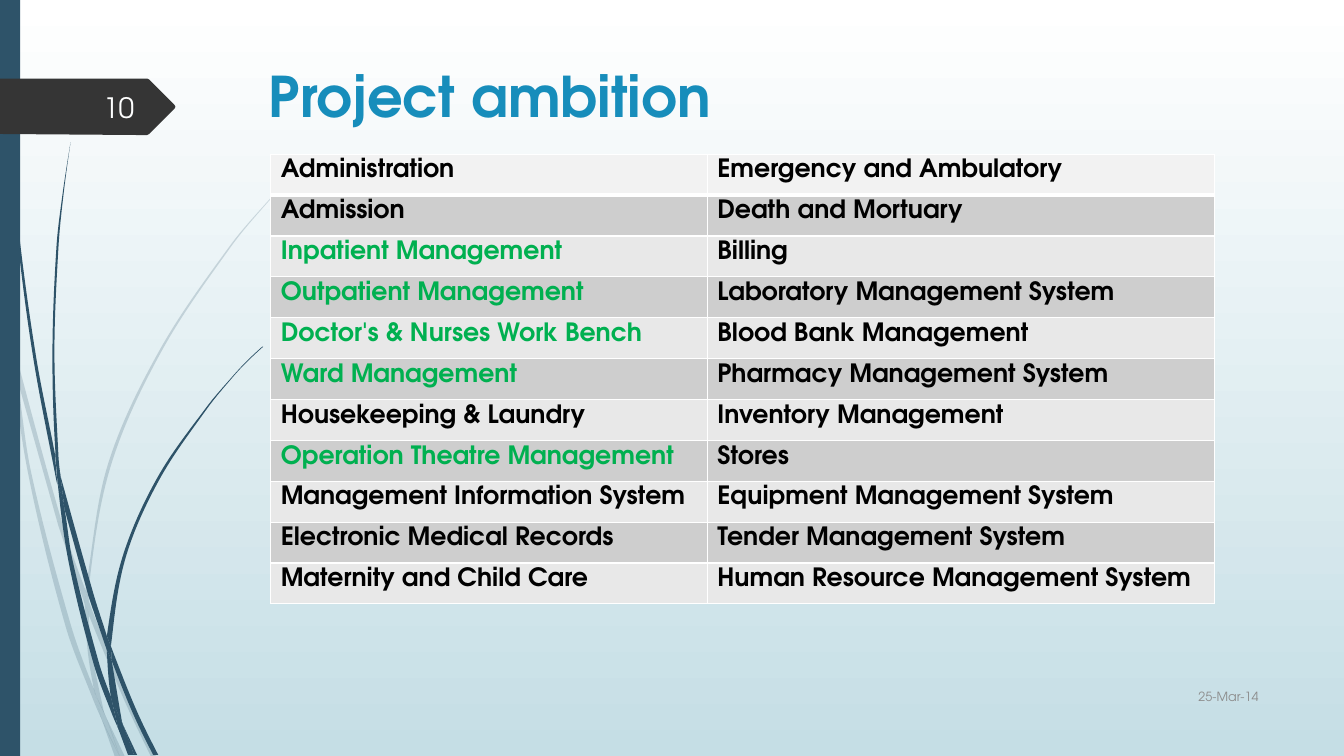
from dataclasses import dataclass
from math import dist

from lxml.etree import SubElement
from pptx import Presentation
from pptx.dml.color import RGBColor
from pptx.enum.shapes import MSO_SHAPE as Preset
from pptx.enum.text import MSO_ANCHOR as Anchor, MSO_AUTO_SIZE as AutoSize, PP_ALIGN as Align
from pptx.oxml.ns import qn
from pptx.util import Emu, Inches, Pt

FONT = "TeX Gyre Adventor"
NAVY, BLACK, GREEN, WHITE = "2E5369", "000000", "00B050", "FFFFFF"
GRID = Inches(0.1)  # one column or row of the layout grid
FINE = Inches(0.01)  # unit of the outlines

Point = tuple[float, float]


@dataclass
class Area:
    column: float
    row: float
    columns: float
    rows: float

    def emu(self) -> list[Emu]:
        return [Emu(round(n * GRID)) for n in (self.column, self.row, self.columns, self.rows)]


@dataclass
class Label:
    text: str
    area: Area
    size: float
    color: str


@dataclass
class Plant:
    color: str
    opacity: int
    stems: list[str]  # edges parted by "/", each a smooth run of x,y points


def rgb(code: str) -> RGBColor:
    return RGBColor.from_string(code)


def write(frame, text: str, size: float, color: str, bold: bool = False, align=Align.LEFT) -> None:
    para = frame.paragraphs[0]
    para.alignment = align
    span = para.add_run()
    span.text = text
    for name, value in {"name": FONT, "size": Pt(size), "bold": bold}.items():
        setattr(span.font, name, value)
    span.font.color.rgb = rgb(color)


def paint(shape, color: str, opacity: int = 100) -> None:
    shape.shadow.inherit = False
    shape.line.fill.background()
    shape.fill.solid()
    shape.fill.fore_color.rgb = rgb(color)
    if opacity < 100:
        tone = shape.fill._xPr.find(".//" + qn("a:srgbClr"))
        SubElement(tone, qn("a:alpha"), val=str(opacity * 1000))


def read_edge(text: str) -> list[Point]:
    return [tuple(float(n) * FINE for n in pair.split(",")) for pair in text.split()]


def handle(before: Point, at: Point, after: Point, reach: float) -> Point:
    """Place a curve handle at a point, along the line between its neighbours."""
    share = reach / 3 / (dist(before, after) or 1)
    return tuple(p + (b - a) * share for a, p, b in zip(before, at, after))


def curve_handles(points: list[Point]) -> list[list[Point]]:
    """Give the two handles of each span of a smooth edge."""
    result = []
    last = len(points) - 2
    for i, (a, b) in enumerate(zip(points, points[1:])):
        reach = dist(a, b)
        first = handle(points[i - 1], a, b, reach) if i > 0 else None
        second = handle(points[i + 2], b, a, reach) if i < last else None
        first = first or tuple((p + q) / 2 for p, q in zip(a, second or b))
        second = second or tuple((p + q) / 2 for p, q in zip(b, first))
        result.append([first, second])
    return result


def draw_outline(page, outline: str, color: str, opacity: int = 100) -> None:
    points, handles = [], []
    for edge in map(read_edge, outline.split("/")):
        if points and points[-1] != edge[0]:
            points.append(edge[0])
            handles.append(None)
        points += edge[1:] if points else edge
        handles += curve_handles(edge) if len(edge) > 2 else [None]
    builder = page.shapes.build_freeform(*map(round, points[0]))
    builder.add_line_segments([tuple(map(round, p)) for p in points[1:]], close=True)
    shape = builder.convert_to_shape()
    left, top = (min(axis) for axis in zip(*points))
    for line, pair in zip(list(shape._element.iter(qn("a:lnTo"))), handles):
        if pair:
            line.tag = qn("a:cubicBezTo")
            for place, (x, y) in enumerate(pair):
                spot = SubElement(line, qn("a:pt"), x=str(round(x - left)), y=str(round(y - top)))
                line.insert(place, spot)
    paint(shape, color, opacity)


def draw_label(page, label: Label) -> None:
    frame = page.shapes.add_textbox(*label.area.emu()).text_frame
    for name, value in {"word_wrap": True, "vertical_anchor": Anchor.MIDDLE}.items():
        setattr(frame, name, value)
    write(frame, label.text, label.size, label.color, align=Align.RIGHT)


def border(cell, widths: dict[str, float]) -> None:
    properties = cell._tc.get_or_add_tcPr()
    for place, (side, width) in enumerate(widths.items()):
        line = SubElement(properties, qn("a:ln" + side), w=str(Pt(width)))
        SubElement(SubElement(line, qn("a:solidFill")), qn("a:srgbClr"), val=WHITE)
        properties.insert(place, line)


def draw_modules(page, area: Area, widths: list[float], rows: list[tuple[str, str]]) -> None:
    table = page.shapes.add_table(len(rows), len(widths), *area.emu()).table
    for name in ("first_row", "horz_banding"):
        setattr(table, name, False)
    for column, width in zip(table.columns, widths):
        column.width = Emu(round(width * GRID))
    for index, names in enumerate(rows):
        table.rows[index].height = Emu(round(area.rows * GRID / len(rows)))
        shade = "F2F2F2" if index == 0 else ("E8E8E8", "CECECE")[index % 2]
        for cell, name in zip(table.rows[index].cells, names):
            cell.fill.solid()
            cell.fill.fore_color.rgb = rgb(shade)
            border(cell, {"L": 1, "R": 1, "T": 1, "B": 3 if index == 0 else 1})
            write(cell.text_frame, name, 18, GREEN if name in HIGHLIGHTED else BLACK, bold=True)


PALE_PLANT = Plant(NAVY, 20, [
    "11,350 9,322 0,282/0,299 10,344 11,350",
    "58,522 84,599/85,586 62,520 14,345/17,376 58,522",
    "92,607 88,596/88,610 123,694 150,751/155,751 127,692 92,607",
    "119,751 124,751/124,751 105,711/105,711 119,751",
    "93,683 70,619 31,469 17,376 11,350/11,350 28,470 65,621 92,693 101,714/101,714 99,707 93,683",
    "84,599 87,646 93,683 96,692 105,711/105,711 103,706 91,646 88,610/88,608 84,599",
    "88,584 110,462 160,349 229,245 268,198 290,175 312,154/"
    "312,153 289,175 268,197 228,244 158,348 107,461 85,584 85,586/88,596 88,584",
    "101,714 114,751/119,751 101,714",
    "88,608 88,610/88,596 85,586/84,599 88,608",
    "96,692 93,683/93,683 99,707 101,714 119,751/119,751 105,711 96,692",
])
DARK_PLANT = Plant(NAVY, 100, [
    "7,110 17,233 33,355 56,477 57,481/55,457 55,453 36,355 19,232 8,109 5,48 4,0/"
    "3,0 4,48 7,110",
    "88,592 106,645/106,633 106,631 93,590 60,472/64,505 88,592",
    "113,649 110,641/111,656 132,708 152,749/157,749 136,706 113,649",
    "110,691 98,657 72,556 64,505 57,477/57,477 68,557 93,659 111,708 117,722/116,717 110,691",
    "60,472 58,453 54,349 58,245 63,193 70,141/70,141 62,193 56,245 52,349 55,449 60,472",
    "133,749 136,749/136,749 122,719/122,719 133,749",
    "57,477 64,505/64,505 60,472/60,472 55,449/55,453 57,477",
    "111,633 125,552 158,476 205,406 231,374 245,359 261,344/"
    "260,344 245,358 231,373 204,405 156,474 122,551 106,631/110,641 111,633",
    "117,722 127,749/131,749 117,722",
    "106,645 110,691 116,706 122,719/121,716 111,656/109,651 106,645",
    "106,645 109,651 111,656/110,641 106,631/106,633 106,645",
    "116,706 110,691/110,691 116,717 117,722 130,749/133,749 122,719 116,706",
])
PAGE_TAG = "0,78 146,78/148,79 173,104/174,106/173,108 148,133/146,134 136,134/0,133"
LABELS = [
    Label("25-Mar-14", Area(113.3, 67, 12.5, 4.1), 9, "8C8C8C"),
    Label("10", Area(5.8, 8.6, 8.5, 4), 20, "FEFFFF"),
]
MODULES = [
    ("Administration", "Emergency and Ambulatory"),
    ("Admission", "Death and Mortuary"),
    ("Inpatient Management", "Billing"),
    ("Outpatient Management", "Laboratory Management System"),
    ("Doctor's & Nurses Work Bench", "Blood Bank Management"),
    ("Ward Management", "Pharmacy Management System"),
    ("Housekeeping & Laundry", "Inventory Management"),
    ("Operation Theatre Management", "Stores"),
    ("Management Information System", "Equipment Management System"),
    ("Electronic Medical Records", "Tender Management System"),
    ("Maternity and Child Care", "Human Resource Management System"),
]
HIGHLIGHTED = {MODULES[row][0] for row in (2, 3, 4, 5, 7)}

# Deck and background
deck = Presentation()
deck.slide_width, deck.slide_height = Inches(13.33), Inches(7.5)
page = deck.slides.add_slide(deck.slide_layouts[5])
backdrop = page.background.fill
backdrop.gradient()
backdrop.gradient_angle = 270
for stop, color in zip(backdrop.gradient_stops, (WHITE, "C5DEE5")):
    stop.color.rgb = rgb(color)
# Plants, side bar and page tag
for plant in (PALE_PLANT, DARK_PLANT):
    for stem in plant.stems:
        draw_outline(page, stem, plant.color, plant.opacity)
paint(page.shapes.add_shape(Preset.RECTANGLE, *Area(0, 0, 2, 75).emu()), NAVY)
draw_outline(page, PAGE_TAG, "353535")
# Title
title = page.shapes.title
title.left, title.top, title.width, title.height = Area(25.65, 5.6, 97.5, 14).emu()
for name, value in {"vertical_anchor": Anchor.TOP, "auto_size": AutoSize.NONE}.items():
    setattr(title.text_frame, name, value)
write(title.text_frame, "Project ambition", 40, "178DBB", bold=True)
# Date, page number and module table
for label in LABELS:
    draw_label(page, label)
draw_modules(page, Area(26.85, 15.3, 93.6, 44.64), [43.3, 50.3], MODULES)
deck.save("out.pptx")
